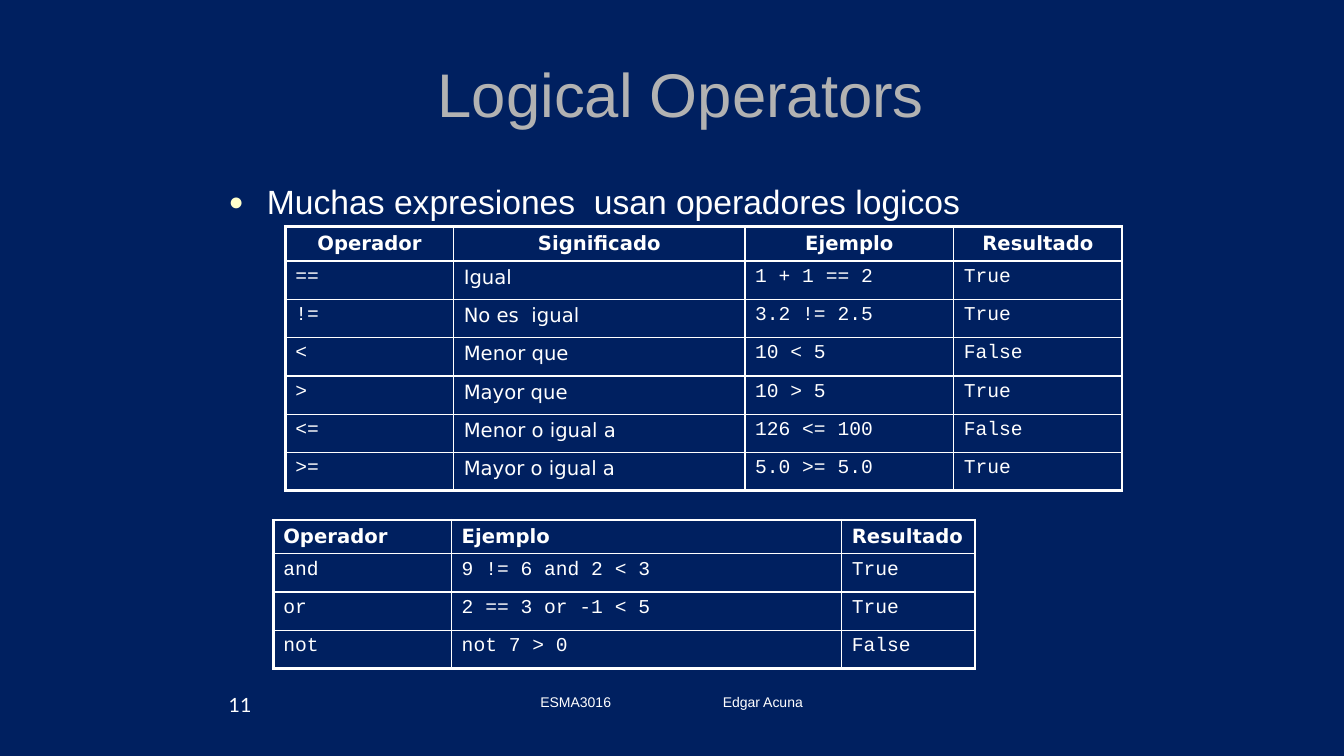
from lxml.etree import SubElement
from pptx import Presentation
from pptx.dml.color import RGBColor
from pptx.enum.text import MSO_ANCHOR, PP_ALIGN
from pptx.oxml import parse_xml
from pptx.oxml.ns import nsdecls, qn
from pptx.util import Inches, Pt

WHITE = "FFFFFF"
SANS, MONO = "DejaVu Sans", "Courier New"

COMPARISONS = [
    ("Operador", "Significado", "Ejemplo", "Resultado"),
    ("==", "Igual", "1 + 1 == 2", "True"),
    ("!=", "No es  igual", "3.2 != 2.5", "True"),
    ("<", "Menor que", "10 < 5", "False"),
    (">", "Mayor que", "10 > 5", "True"),
    ("<=", "Menor o igual a", "126 <= 100", "False"),
    (">=", "Mayor o igual a", "5.0 >= 5.0", "True"),
]
CONNECTIVES = [
    ("Operador", "Ejemplo", "Resultado"),
    ("and", "9 != 6 and 2 < 3", "True"),
    ("or", "2 == 3 or -1 < 5", "True"),
    ("not", "not 7 > 0", "False"),
]


def rgb(color):
    return RGBColor.from_string(color)


def write(tf, text, size=14, font="Arial", color=WHITE, bold=False,
          align=PP_ALIGN.LEFT, spaced=False):
    """Fill the first paragraph; spaced adds 20% of a line before it."""
    p = tf.paragraphs[0]
    p.alignment = align
    r = p.add_run()
    r.text = text
    r.font.size = Pt(size)
    r.font.name = font
    r.font.bold = bold
    r.font.color.rgb = rgb(color)
    if spaced:
        p._p.get_or_add_pPr().insert(0, parse_xml(
            f'<a:spcBef {nsdecls("a")}><a:spcPct val="20000"/></a:spcBef>'))
    return p


def add_text(s, left, top, width, height, text, **fmt):
    tf = s.shapes.add_textbox(
        Inches(left), Inches(top), Inches(width), Inches(height)).text_frame
    tf.word_wrap = True
    return tf, write(tf, text, **fmt)


def add_bullet(p, char, color, percent, indent):
    pPr = p._p.get_or_add_pPr()
    pPr.set("marL", str(Inches(indent)))
    pPr.set("indent", str(-Inches(indent)))
    SubElement(SubElement(pPr, qn("a:buClr")), qn("a:srgbClr"), val=color)
    SubElement(pPr, qn("a:buSzPct"), val=str(percent * 1000))
    SubElement(pPr, qn("a:buFont"), typeface="Arial")
    SubElement(pPr, qn("a:buChar"), char=char)


def add_tab_stop(p, position):
    tabs = SubElement(p._p.get_or_add_pPr(), qn("a:tabLst"))
    SubElement(tabs, qn("a:tab"), pos=str(Inches(position)), algn="l")


def set_borders(cell, thick_sides):
    tcPr = cell._tc.get_or_add_tcPr()
    for i, side in enumerate("LRTB"):
        width = Pt(2.25 if side in thick_sides else 1)
        tcPr.insert(i, parse_xml(
            f'<a:ln{side} {nsdecls("a")} w="{width}"><a:solidFill>'
            f'<a:srgbClr val="{WHITE}"/></a:solidFill></a:ln{side}>'))


def add_operator_table(s, left, top, widths, header_height, rows,
                       header_align, sans_columns=()):
    heights = [header_height] + [0.38] * (len(rows) - 1)
    table = s.shapes.add_table(
        len(rows), len(widths), Inches(left), Inches(top),
        Inches(sum(widths)), Inches(sum(heights))).table
    table.first_row = table.horz_banding = False
    for column, width in zip(table.columns, widths):
        column.width = Inches(width)
    for i, (values, height) in enumerate(zip(rows, heights)):
        table.rows[i].height = Inches(height)
        header = i == 0
        for j, value in enumerate(values):
            cell = table.cell(i, j)
            cell.fill.background()
            write(cell.text_frame, value, bold=header, spaced=True,
                  font=SANS if header or j in sans_columns else MONO,
                  align=header_align if header else PP_ALIGN.LEFT)
            edges = {"L": j == 0, "R": j == len(widths) - 1,
                     "T": header, "B": i == len(rows) - 1}
            set_borders(cell, [side for side, outer in edges.items() if outer])


def add_title(s, text):
    title = s.shapes.title
    title.left, title.top = Inches(0.67), Inches(0.3)
    title.width, title.height = Inches(12), Inches(1.25)
    title.text_frame.vertical_anchor = MSO_ANCHOR.MIDDLE
    write(title.text_frame, text, size=44, color="B2B2B2", align=PP_ALIGN.CENTER)


def main():
    prs = Presentation()
    prs.slide_width, prs.slide_height = Inches(13.33), Inches(7.5)
    s = prs.slides.add_slide(prs.slide_layouts[5])
    s.background.fill.solid()
    s.background.fill.fore_color.rgb = rgb("002060")

    add_text(s, 2.17, 6.83, 2.33, 0.5, "11", font="Lato")
    add_title(s, " Logical Operators")
    _, p = add_text(s, 2.17, 1.75, 9.33, 4.95,
                    "Muchas expresiones  usan operadores logicos",
                    size=24, spaced=True)
    add_bullet(p, "●", "FFFFCC", 75, 0.38)

    add_operator_table(s, 2.71, 5.16, [1.77, 3.87, 1.32], 0.33, CONNECTIVES,
                       PP_ALIGN.LEFT)
    add_operator_table(s, 2.83, 2.25, [1.67, 2.89, 2.07, 1.67], 0.34, COMPARISONS,
                       PP_ALIGN.CENTER, sans_columns=[1])

    tf, p = add_text(s, 4.56, 6.83, 4.22, 0.5, "ESMA3016\tEdgar Acuna", size=10)
    tf.margin_left = Inches(0.8)
    add_tab_stop(p, 1.81)

    prs.save("out.pptx")


if __name__ == "__main__":
    main()
